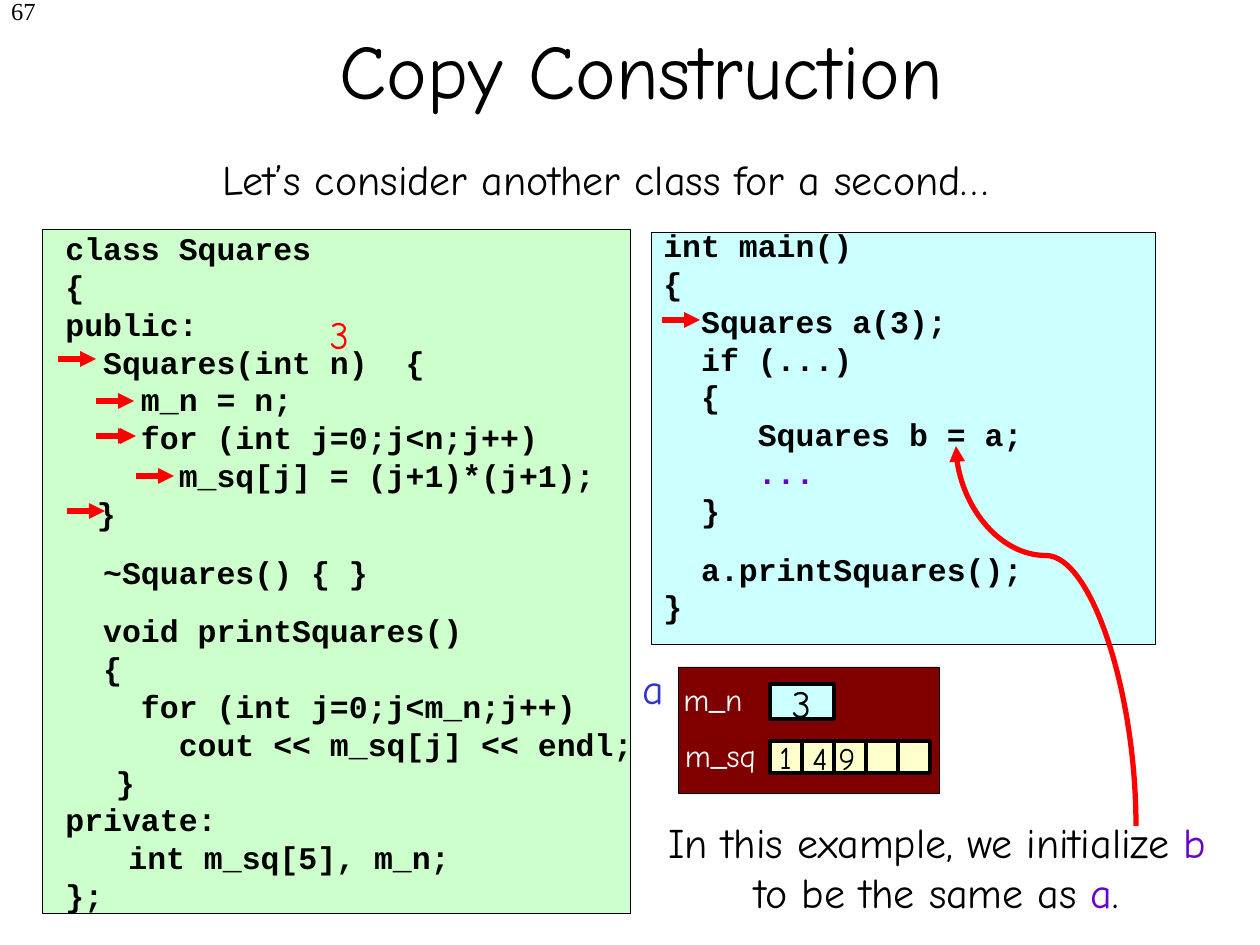
from typing import NamedTuple

from lxml.etree import SubElement
from pptx import Presentation
from pptx.dml.color import RGBColor
from pptx.enum.shapes import MSO_CONNECTOR as Conn, MSO_SHAPE as Shape
from pptx.enum.text import MSO_ANCHOR as Anchor, MSO_AUTO_SIZE as Fit, PP_ALIGN as Align
from pptx.oxml.ns import qn
from pptx.util import Emu, Pt

BLACK = RGBColor(0x00, 0x00, 0x00)
WHITE = RGBColor(0xFF, 0xFF, 0xFF)
RED = RGBColor(0xFF, 0x00, 0x00)
PURPLE = RGBColor(0x66, 0x00, 0xCC)
BLUE = RGBColor(0x33, 0x33, 0xCC)
GREEN = RGBColor(0xCC, 0xFF, 0xCC)
CYAN = RGBColor(0xCC, 0xFF, 0xFF)
YELLOW = RGBColor(0xFF, 0xFF, 0xCC)
MAROON = RGBColor(0x80, 0x00, 0x00)

HAND, CODE, SERIF = "Comic Neue", "Courier New", "Times New Roman"
PX_PER_INCH = 126
CELL = 32


class Box(NamedTuple):
    x: int
    y: int
    w: int
    h: int


class Label(NamedTuple):
    box: Box
    text: str
    size: int
    color: RGBColor = BLACK
    font: str = HAND
    align: Align = Align.CENTER
    wrap: bool = False
    anchor: Anchor = Anchor.TOP


class CodeLine(NamedTuple):
    text: str
    gap: float = 0
    color: RGBColor = BLACK


class Arrow(NamedTuple):
    x: int
    y: int
    length: int = 38


def px(n: int) -> Emu:
    return Emu(round(n * 914400 / PX_PER_INCH))


def add_rect(shapes, box: Box, fill: RGBColor, line_pt: float) -> None:
    s = shapes.add_shape(Shape.RECTANGLE, *map(px, box))
    s.shadow.inherit = False
    s.fill.solid()
    s.fill.fore_color.rgb = fill
    s.line.color.rgb = BLACK
    s.line.width = Pt(line_pt)


def add_frame(shapes, box: Box, wrap: bool = True):
    tf = shapes.add_textbox(*map(px, box)).text_frame
    tf.word_wrap = wrap
    return tf


def add_run(p, text: str, font: str, size: int, color: RGBColor, bold: bool = False) -> None:
    r = p.add_run()
    r.text = text
    r.font.name = font
    r.font.size = Pt(size)
    r.font.bold = bold
    r.font.color.rgb = color


def add_label(shapes, label: Label) -> None:
    tf = add_frame(shapes, label.box, label.wrap)
    tf.vertical_anchor = label.anchor
    p = tf.paragraphs[0]
    p.alignment = label.align
    add_run(p, label.text, label.font, label.size, label.color)


def add_code(shapes, box: Box, lines: list[CodeLine], indent: int = 0) -> None:
    """Write one paragraph per line; a newline inside a line is a soft break."""
    tf = add_frame(shapes, box)
    tf.auto_size = Fit.SHAPE_TO_FIT_TEXT
    for i, line in enumerate(lines):
        p = tf.add_paragraph() if i else tf.paragraphs[0]
        pPr = p._p.get_or_add_pPr()
        pPr.set("marL", "0")
        pPr.set("indent", str(px(indent)))
        if line.gap:
            p.space_before = Pt(line.gap)
        for j, part in enumerate(line.text.split("\n")):
            if j:
                p.add_line_break()
            add_run(p, part, CODE, 18, line.color, bold=True)


def style_arrow(c) -> None:
    c.line.color.rgb = RED
    c.line.width = Pt(3)
    SubElement(c.line._get_or_add_ln(), qn("a:tailEnd"), type="triangle")
    SubElement(c._element.spPr, qn("a:effectLst"))


def add_arrow(shapes, arrow: Arrow) -> None:
    ends = (arrow.x, arrow.y, arrow.x + arrow.length, arrow.y)
    style_arrow(shapes.add_connector(Conn.STRAIGHT, *map(px, ends)))


def add_curve(shapes) -> None:
    """S-curve from the remark up to the initialization of b."""
    c = shapes.add_connector(Conn.CURVE, *map(px, (1236, 546, 856, 726)))
    spPr = c._element.spPr
    spPr.find(qn("a:xfrm")).set("rot", str(90 * 60000))
    guides = spPr.find(qn("a:prstGeom")).find(qn("a:avLst"))
    SubElement(guides, qn("a:gd"), name="adj1", fmla="val 71200")
    style_arrow(c)


CLASS_CODE = [
    CodeLine("class Squares"),
    CodeLine("{"),
    CodeLine("public:"),
    CodeLine("  Squares(int n)  {"),
    CodeLine("    m_n = n;"),
    CodeLine("    for (int j=0;j<n;j++)"),
    CodeLine("      m_sq[j] = (j+1)*(j+1);\n     }"),
    CodeLine("  ~Squares() { }", gap=12),
    CodeLine("  void printSquares()", gap=12),
    CodeLine("  {"),
    CodeLine("    for (int j=0;j<m_n;j++)"),
    CodeLine("      cout << m_sq[j] << endl;\n      }"),
    CodeLine("private:"),
    CodeLine("\tint m_sq[5], m_n;"),
    CodeLine("};"),
]
MAIN_CODE = [
    CodeLine("int main()"),
    CodeLine("{"),
    CodeLine("  Squares a(3);"),
    CodeLine("  if (...)"),
    CodeLine("  {"),
    CodeLine("     Squares b = a;"),
    CodeLine("     ...", color=PURPLE),
    CodeLine("  }"),
    CodeLine("  a.printSquares();", gap=12),
    CodeLine("}"),
]
HEADINGS = [
    Label(Box(-214, -10, 262, 63), "67", 14, font=SERIF, align=Align.RIGHT, wrap=True),
    Label(Box(45, -10, 1193, 158), "Copy Construction", 44, wrap=True, anchor=Anchor.MIDDLE),
    Label(Box(210, 147, 1260, 63), "Let’s consider another class for a second…", 24,
          align=Align.LEFT, wrap=True),
]
MEMBER_NAMES = [
    Label(Box(630, 656, 47, 63), "a", 24, BLUE),
    Label(Box(670, 674, 86, 50), "m_n", 18, WHITE),
    Label(Box(670, 730, 101, 50), "m_sq", 18, WHITE),
]
VALUES = [
    Label(Box(315, 305, 49, 59), "3", 22, RED),
    Label(Box(777, 674, 49, 59), "3", 22),
    Label(Box(766, 732, 39, 50), "1", 18),
    Label(Box(798, 733, 44, 50), "4", 18),
    Label(Box(825, 733, 44, 50), "9", 18),
]
STEPS = [
    Arrow(662, 320), Arrow(58, 359), Arrow(96, 401), Arrow(96, 436),
    Arrow(67, 511), Arrow(98, 436), Arrow(136, 476),
]
REMARK = [
    ("In this example, we initialize ", BLACK), ("b", PURPLE),
    (" to be the same as ", BLACK), ("a", PURPLE), (".", BLACK),
]


def main() -> None:
    prs = Presentation()
    prs.slide_width, prs.slide_height = px(1260), px(945)
    shapes = prs.slides.add_slide(prs.slide_layouts[6]).shapes

    add_rect(shapes, Box(42, 229, 588, 684), GREEN, 0.25)
    for label in HEADINGS:
        add_label(shapes, label)
    add_code(shapes, Box(-10, 223, 675, 748), CLASS_CODE, indent=63)

    program = shapes.add_group_shape().shapes
    add_rect(program, Box(651, 232, 504, 412), CYAN, 0.25)
    add_code(program, Box(651, 220, 577, 412), MAIN_CODE)

    instance = shapes.add_group_shape().shapes
    add_rect(instance, Box(678, 667, 261, 126), MAROON, 0.25)
    add_rect(instance, Box(770, 684, 64, 35), CYAN, 2.25)
    for i in range(5):
        add_rect(instance, Box(770 + i * CELL, 741, CELL, CELL), YELLOW, 2.25)
    for label in MEMBER_NAMES:
        add_label(instance, label)

    for arrow in STEPS:
        add_arrow(shapes, arrow)
    for label in VALUES:
        add_label(shapes, label)

    p = add_frame(shapes, Box(636, 810, 602, 113)).paragraphs[0]
    p.alignment = Align.CENTER
    for text, color in REMARK:
        add_run(p, text, HAND, 24, color)
    add_curve(shapes)

    prs.save("out.pptx")


if __name__ == "__main__":
    main()
